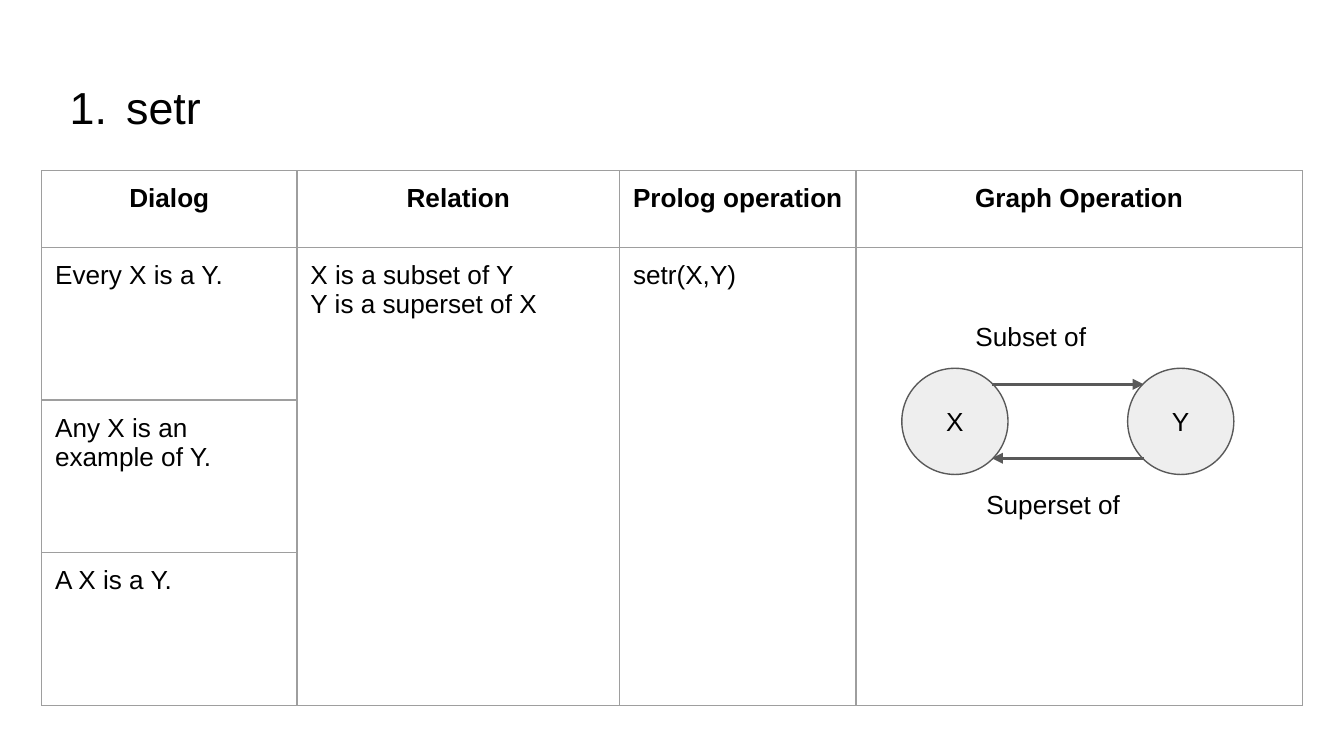
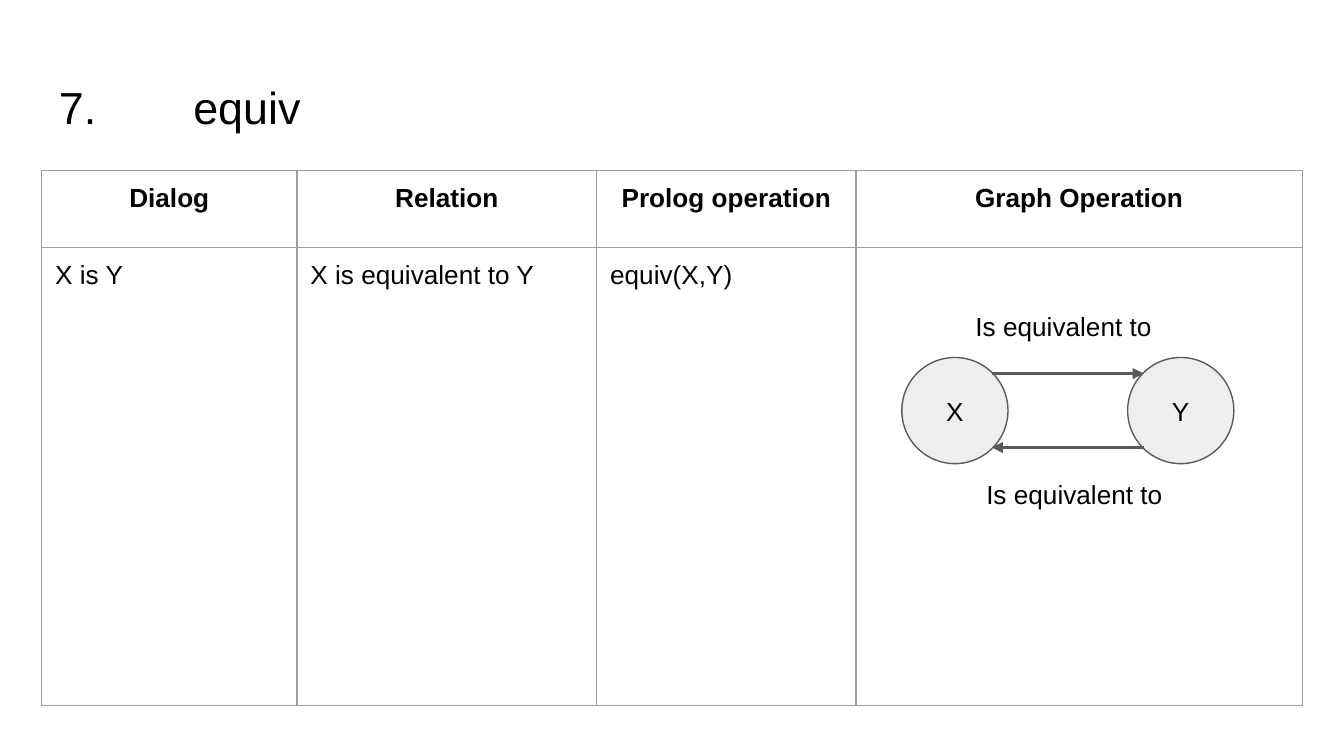
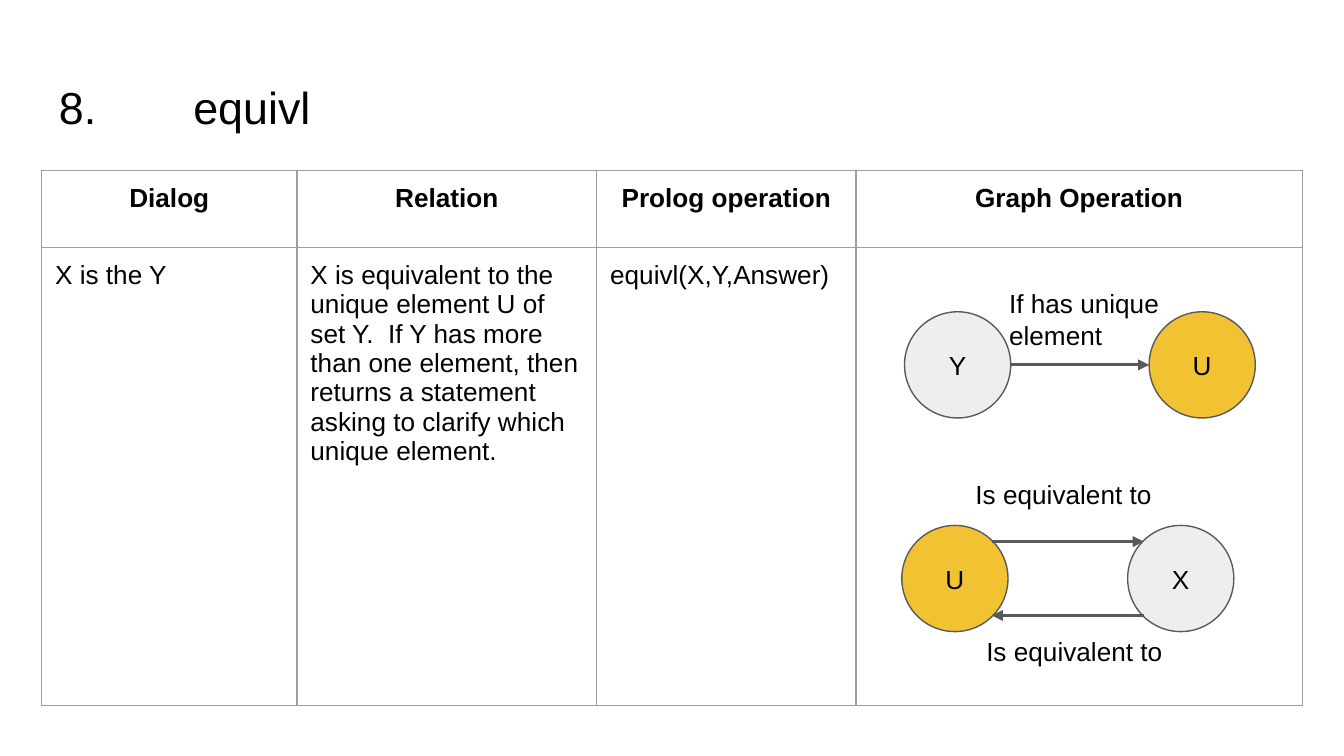
from dataclasses import dataclass

from lxml import etree
from pptx import Presentation
from pptx.dml.color import RGBColor
from pptx.enum.shapes import MSO_CONNECTOR, MSO_SHAPE
from pptx.enum.text import MSO_ANCHOR, PP_ALIGN
from pptx.oxml import parse_xml
from pptx.oxml.ns import nsdecls, qn
from pptx.util import Inches, Pt

BLACK = RGBColor(0x00, 0x00, 0x00)
WHITE = RGBColor(0xFF, 0xFF, 0xFF)
NODE_GREY = RGBColor(0xEE, 0xEE, 0xEE)
UNIQUE_GOLD = RGBColor(0xF1, 0xC2, 0x32)
EDGE_GREY = RGBColor(0x59, 0x59, 0x59)
GRID_GREY = RGBColor(0x9E, 0x9E, 0x9E)

CENTER, LEFT = PP_ALIGN.CENTER, PP_ALIGN.LEFT
TOP, MIDDLE = MSO_ANCHOR.TOP, MSO_ANCHOR.MIDDLE
ELLIPSE, STRAIGHT = MSO_SHAPE.OVAL, MSO_CONNECTOR.STRAIGHT

SLIDE_WIDTH = Inches(10)
SLIDE_HEIGHT = SLIDE_WIDTH * 9 // 16

FONT = "Arial"
TITLE_SIZE, BODY_SIZE = 24, 14
INSET = Inches(0.1)
MARGINS = {f"margin_{side}": INSET for side in ("left", "top", "right", "bottom")}
LABEL_SPACING = 1.03

TABLE_LEFT, TABLE_TOP = 0.31, 1.27
HEADERS = ("Dialog", "Relation", "Prolog operation", "Graph Operation")
BODY_ROWS = 3
ROW_HEIGHTS = (0.57,) + (3.41 / BODY_ROWS,) * BODY_ROWS

NODE_SIZE = 0.79
PAIR_LEFT, PAIR_RIGHT = 6.71, 8.39
ARROW_INSET = 0.12
LABEL_WIDTH, LABEL_HEIGHT = 1.63, 0.37
UPPER_LABEL_LEFT, LOWER_LABEL_LEFT = 7.16, 7.24
UPPER_LABEL_RISE = 0.46


@dataclass(frozen=True)
class Node:
    name: str
    fill: RGBColor = NODE_GREY


@dataclass(frozen=True)
class RelationPair:
    """Two nodes with an arrow each way and a label for each arrow."""
    first: Node
    second: Node
    top: float
    forward: str
    backward: str
    backward_drop: float = NODE_SIZE


@dataclass(frozen=True)
class Operation:
    title: str
    numbered: bool
    column_widths: tuple[float, ...]
    dialogs: tuple[str, ...]
    relation: str
    prolog: str
    pair: RelationPair


SETR_COLUMNS = (1.9, 2.4, 1.76, 3.32)
EQUIV_COLUMNS = (1.9, 2.23, 1.93, 3.32)

SETR = Operation(
    "setr", True, SETR_COLUMNS,
    ("Every X is a Y.", "Any X is an example of Y.", "A X is a Y."),
    "X is a subset of Y\nY is a superset of X", "setr(X,Y)",
    RelationPair(Node("X"), Node("Y"), 2.74, "Subset of", "Superset of"))
EQUIV = Operation(
    "7.\tequiv", False, EQUIV_COLUMNS, ("X is Y",),
    "X is equivalent to Y", "equiv(X,Y)",
    RelationPair(Node("X"), Node("Y"), 2.66,
                 "Is equivalent to", "Is equivalent to"))
EQUIVL = Operation(
    "8.\tequivl", False, EQUIV_COLUMNS, ("X is the Y",),
    "X is equivalent to the unique element U of set Y.  If Y has more than "
    "one element, then returns a statement asking to clarify which unique "
    "element.", "equivl(X,Y,Answer)",
    RelationPair(Node("U", UNIQUE_GOLD), Node("X"), 3.91,
                 "Is equivalent to", "Is equivalent to", 0.71))


def set_attributes(target, values: dict) -> None:
    for name, value in values.items():
        setattr(target, name, value)


def write(frame, text: str, size: int = BODY_SIZE, bold: bool = False,
          align=LEFT, spacing: float = 1.0) -> None:
    frame.text = text
    for paragraph in frame.paragraphs:
        set_attributes(paragraph, {"alignment": align, "line_spacing": spacing})
        for run in paragraph.runs:
            set_attributes(run.font, {"name": FONT, "size": Pt(size), "bold": bold})
            run.font.color.rgb = BLACK


def add_text(slide, text: str, left: float, top: float, width: float,
             height: float, size: int = BODY_SIZE, spacing: float = 1.0):
    box = slide.shapes.add_textbox(
        Inches(left), Inches(top), Inches(width), Inches(height))
    frame = box.text_frame
    set_attributes(frame, {**MARGINS, "word_wrap": True, "vertical_anchor": TOP})
    write(frame, text, size, spacing=spacing)
    return frame


def add_label(slide, text: str, left: float, top: float) -> None:
    add_text(slide, text, left, top, LABEL_WIDTH, LABEL_HEIGHT,
             spacing=LABEL_SPACING)


def add_title(slide, text: str, numbered: bool) -> None:
    """Number the title automatically, or set a tab stop after a typed number."""
    frame = add_text(slide, text, 0.34, 0.49, 9.32, 0.63, TITLE_SIZE)
    properties = frame.paragraphs[0]._p.get_or_add_pPr()
    if numbered:
        properties.set("marL", str(Inches(0.5)))
        properties.set("indent", str(Inches(-0.42)))
        properties.append(parse_xml(
            f'<a:buClr {nsdecls("a")}><a:srgbClr val="{BLACK}"/></a:buClr>'))
        etree.SubElement(properties, qn("a:buFont"), typeface=FONT)
        etree.SubElement(properties, qn("a:buAutoNum"), type="arabicPeriod")
    else:
        tab_stops = etree.SubElement(properties, qn("a:tabLst"))
        etree.SubElement(tab_stops, qn("a:tab"), pos=str(Inches(1)), algn="l")


def style_cell(cell) -> None:
    set_attributes(cell, {**MARGINS, "vertical_anchor": TOP})
    cell.fill.background()
    properties = cell._tc.get_or_add_tcPr()
    for position, side in enumerate(("lnL", "lnR", "lnT", "lnB")):
        properties.insert(position, parse_xml(
            f'<a:{side} {nsdecls("a")} w="{Pt(0.75)}"><a:solidFill>'
            f'<a:srgbClr val="{GRID_GREY}"/></a:solidFill></a:{side}>'))


def add_operation_table(slide, operation: Operation) -> None:
    widths = operation.column_widths
    table = slide.shapes.add_table(
        len(ROW_HEIGHTS), len(HEADERS), Inches(TABLE_LEFT), Inches(TABLE_TOP),
        Inches(sum(widths)), Inches(sum(ROW_HEIGHTS))).table
    set_attributes(table, {"first_row": False, "horz_banding": False})
    for column, width in zip(table.columns, widths):
        column.width = Inches(width)
    for row, height in zip(table.rows, ROW_HEIGHTS):
        row.height = Inches(height)
    for cell in table.iter_cells():
        style_cell(cell)

    for column, header in enumerate(HEADERS):
        write(table.cell(0, column).text_frame, header, bold=True, align=CENTER)
        if column > 0 or len(operation.dialogs) == 1:
            table.cell(1, column).merge(table.cell(BODY_ROWS, column))
    for row, dialog in enumerate(operation.dialogs, start=1):
        write(table.cell(row, 0).text_frame, dialog)
    write(table.cell(1, 1).text_frame, operation.relation)
    write(table.cell(1, 2).text_frame, operation.prolog)


def add_node(slide, node: Node, left: float, top: float) -> None:
    circle = slide.shapes.add_shape(
        ELLIPSE, Inches(left), Inches(top), Inches(NODE_SIZE), Inches(NODE_SIZE))
    circle.shadow.inherit = False
    circle.fill.solid()
    circle.fill.fore_color.rgb = node.fill
    circle.line.color.rgb = EDGE_GREY
    circle.line.width = Pt(0.75)
    set_attributes(circle.text_frame, {**MARGINS, "vertical_anchor": MIDDLE})
    write(circle.text_frame, node.name, align=CENTER)


def add_arrow(slide, start: float, end: float, height: float) -> None:
    """Draw a level arrow from start to end."""
    arrow = slide.shapes.add_connector(
        STRAIGHT, Inches(start), Inches(height), Inches(end), Inches(height))
    arrow.line.color.rgb = EDGE_GREY
    arrow.line.width = Pt(1.5)
    etree.SubElement(arrow.line._get_or_add_ln(), qn("a:tailEnd"), type="triangle")
    etree.SubElement(arrow._element.spPr, qn("a:effectLst"))


def add_relation_pair(slide, pair: RelationPair) -> None:
    add_node(slide, pair.first, PAIR_LEFT, pair.top)
    add_node(slide, pair.second, PAIR_RIGHT, pair.top)
    first_edge = PAIR_LEFT + NODE_SIZE - ARROW_INSET
    second_edge = PAIR_RIGHT + ARROW_INSET
    add_arrow(slide, first_edge, second_edge, pair.top + ARROW_INSET)
    add_arrow(slide, second_edge, first_edge, pair.top + NODE_SIZE - ARROW_INSET)
    add_label(slide, pair.forward, UPPER_LABEL_LEFT, pair.top - UPPER_LABEL_RISE)
    add_label(slide, pair.backward, LOWER_LABEL_LEFT, pair.top + pair.backward_drop)


def add_unique_element_check(slide) -> None:
    set_left, element_left, top = 6.73, 8.55, 2.32
    add_node(slide, Node("U", UNIQUE_GOLD), element_left, top)
    add_node(slide, Node("Y"), set_left, top)
    add_arrow(slide, set_left + NODE_SIZE, element_left, top + NODE_SIZE / 2)
    add_label(slide, "If has unique element", 7.41, 2.03)


def add_operation_slide(presentation, operation: Operation):
    slide = presentation.slides.add_slide(presentation.slide_layouts[6])
    slide.background.fill.solid()
    slide.background.fill.fore_color.rgb = WHITE
    add_title(slide, operation.title, operation.numbered)
    add_operation_table(slide, operation)
    add_relation_pair(slide, operation.pair)
    return slide


def main() -> None:
    presentation = Presentation()
    presentation.slide_width = SLIDE_WIDTH
    presentation.slide_height = SLIDE_HEIGHT
    add_operation_slide(presentation, SETR)
    add_operation_slide(presentation, EQUIV)
    add_unique_element_check(add_operation_slide(presentation, EQUIVL))
    presentation.save("out.pptx")


if __name__ == "__main__":
    main()
